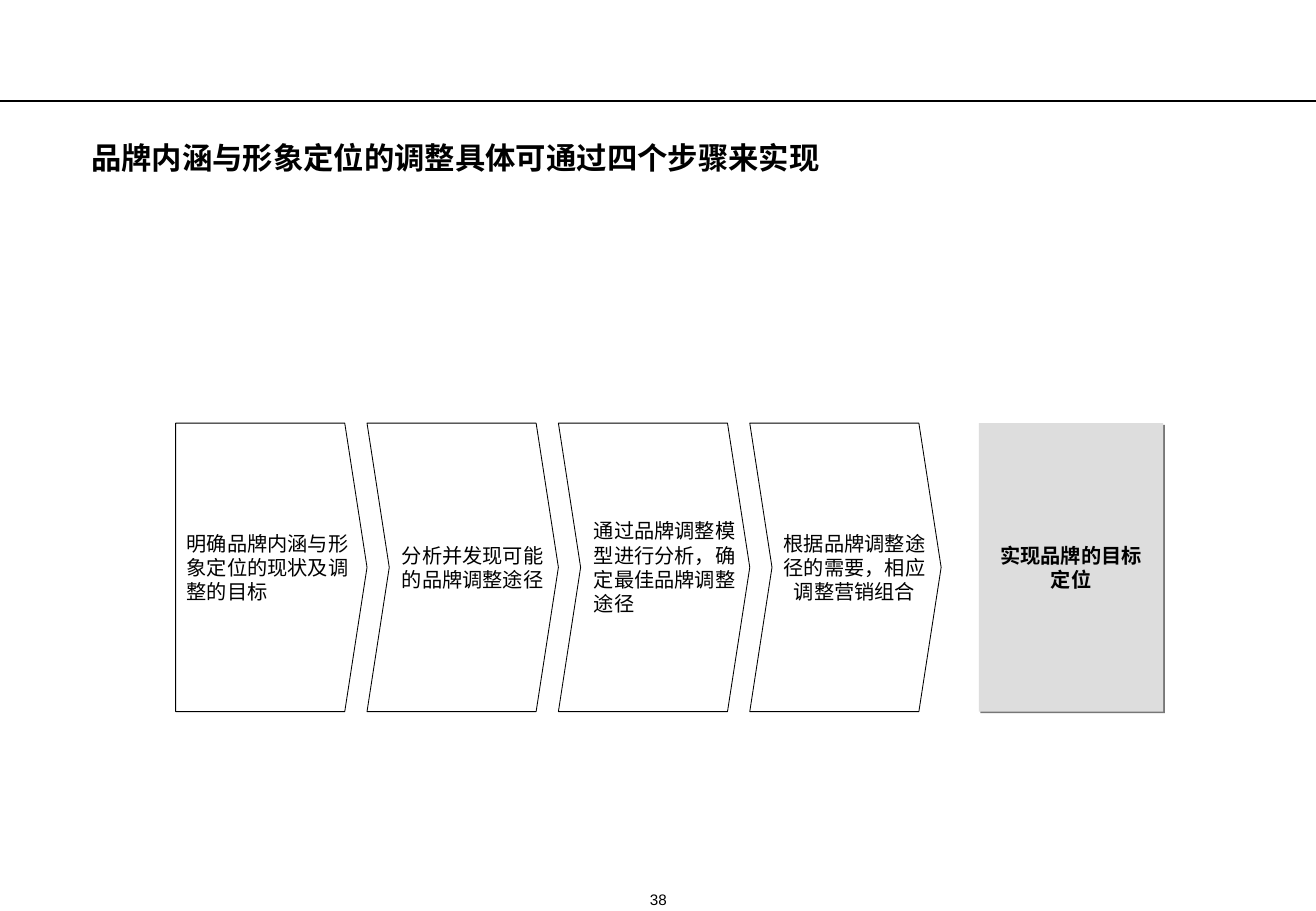
from dataclasses import dataclass
from lxml.etree import SubElement
from pptx import Presentation
from pptx.dml.color import RGBColor
from pptx.enum.shapes import MSO_CONNECTOR, MSO_SHAPE
from pptx.enum.text import MSO_ANCHOR, MSO_AUTO_SIZE, PP_ALIGN
from pptx.oxml.ns import qn
from pptx.util import Pt


@dataclass(frozen=True)
class Theme:
    font: str = "Arial"
    ink: RGBColor = RGBColor(0, 0, 0)
    panel: RGBColor = RGBColor(0xDD, 0xDD, 0xDD)
    shade: str = "777777"
    head: int = 18
    body: int = 12
    note: int = 9
    rule: float = 1.5
    edge: float = 0.5
    lead: float = 14.4


@dataclass(frozen=True)
class Box:
    x: float
    y: float
    w: float
    h: float

    def pts(self):
        return [Pt(v) for v in (self.x, self.y, self.w, self.h)]


THEME = Theme()
WIDE, HIGH = 780.48, 540
LEFT, CENTER = PP_ALIGN.LEFT, PP_ALIGN.CENTER

# Text, line count, text inset, text width, alignment
STEPS = [
    ("明确品牌内涵与形象定位的现状及调整的目标", 3, 6.5, 99.4, LEFT),
    ("分析并发现可能的品牌调整途径", 2, 17.3, 90.7, CENTER),
    ("通过品牌调整模型进行分析，确定最佳品牌调整途径", 4, 21, 90.7, LEFT),
    ("根据品牌调整途径的需要，相应调整营销组合", 3, 16.8, 90.7, CENTER),
]


def write(shape, text, size, align, anchor, bold=False):
    frame = shape.text_frame
    frame.text = text
    frame.word_wrap = True
    frame.auto_size = MSO_AUTO_SIZE.NONE
    frame.vertical_anchor = anchor
    frame.margin_left = frame.margin_right = 0
    frame.margin_top = frame.margin_bottom = 0
    para = frame.paragraphs[0]
    para.alignment = align
    font = para.runs[0].font
    font.name, font.size, font.bold = THEME.font, Pt(size), bold
    font.color.rgb = THEME.ink
    return para


def label(slide, box, text, lines, inset, width, align, bold=False):
    """Put a text of a known line count halfway down the box."""
    high = lines * THEME.lead
    area = Box(box.x + inset, box.y + (box.h - high) / 2, width, high)
    shape = slide.shapes.add_textbox(*area.pts())
    write(shape, text, THEME.body, align, MSO_ANCHOR.MIDDLE, bold)


def header(slide, box):
    # Rule across the page
    line = slide.shapes.add_connector(
        MSO_CONNECTOR.STRAIGHT, 0, Pt(box.y), Pt(WIDE), Pt(box.y))
    line.line.color.rgb = THEME.ink
    line.line.width = Pt(THEME.rule)
    SubElement(line._element.spPr, qn("a:effectLst"))

    # Title
    title = slide.shapes.title
    area = Box(box.x, box.y + 24.2, box.w, 20)
    title.left, title.top, title.width, title.height = area.pts()
    para = write(title, "品牌内涵与形象定位的调整具体可通过四个步骤来实现",
                 THEME.head, LEFT, MSO_ANCHOR.TOP, True)
    para.line_spacing = Pt(20)


def arrow(slide, box, first):
    tip, notch = 13.2, 0 if first else 13.2
    right, mid, low = box.x + box.w, box.y + box.h / 2, box.y + box.h
    dots = [(right - tip, box.y), (right, mid), (right - tip, low),
            (box.x, low), (box.x + notch, mid)]
    form = slide.shapes.build_freeform(Pt(box.x), Pt(box.y))
    form.add_line_segments([(Pt(x), Pt(y)) for x, y in dots])
    shape = form.convert_to_shape()
    shape.shadow.inherit = False
    shape.fill.background()
    shape.line.color.rgb = THEME.ink
    shape.line.width = Pt(THEME.edge)


def chain(slide, box):
    pitch = box.w / len(STEPS)
    for i, step in enumerate(STEPS):
        cell = Box(box.x + i * pitch, box.y, pitch, box.h)
        arrow(slide, cell, i == 0)
        label(slide, cell, *step)


def goal(slide, box):
    # Grey panel with a hard shadow
    panel = slide.shapes.add_shape(MSO_SHAPE.RECTANGLE, *box.pts())
    panel.fill.solid()
    panel.fill.fore_color.rgb = THEME.panel
    panel.line.fill.background()
    panel.shadow.inherit = False
    effect = panel._element.spPr.find(qn("a:effectLst"))
    cast = SubElement(effect, qn("a:outerShdw"), blurRad="0",
                      dist=str(Pt(1.4)), dir="2700000", algn="tl",
                      rotWithShape="0")
    SubElement(cast, qn("a:srgbClr"), val=THEME.shade)

    label(slide, box, "实现品牌的目标定位", 2, 9.4, 90.7, CENTER, True)


def footer(slide, box):
    shape = slide.shapes.add_textbox(*box.pts())
    write(shape, "38", THEME.note, CENTER, MSO_ANCHOR.BOTTOM)


def main():
    deck = Presentation()
    deck.slide_width, deck.slide_height = Pt(WIDE), Pt(HIGH)
    slide = deck.slides.add_slide(deck.slide_layouts[5])
    header(slide, Box(54, 60, 672, 45))
    chain(slide, Box(104.2, 250.8, 454, 171))
    goal(slide, Box(580.5, 250.8, 109.4, 171))
    footer(slide, Box(370, 527.8, 41, 10.8))
    deck.save("out.pptx")


if __name__ == "__main__":
    main()
